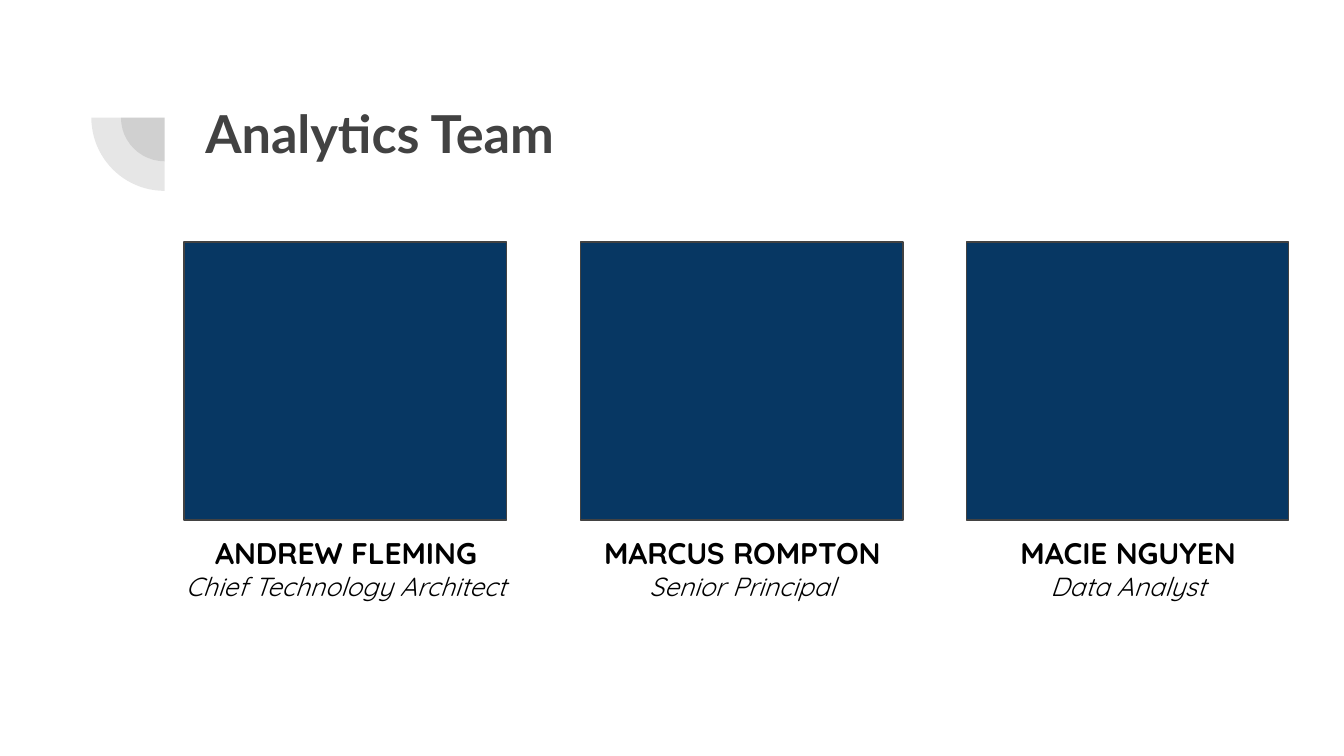
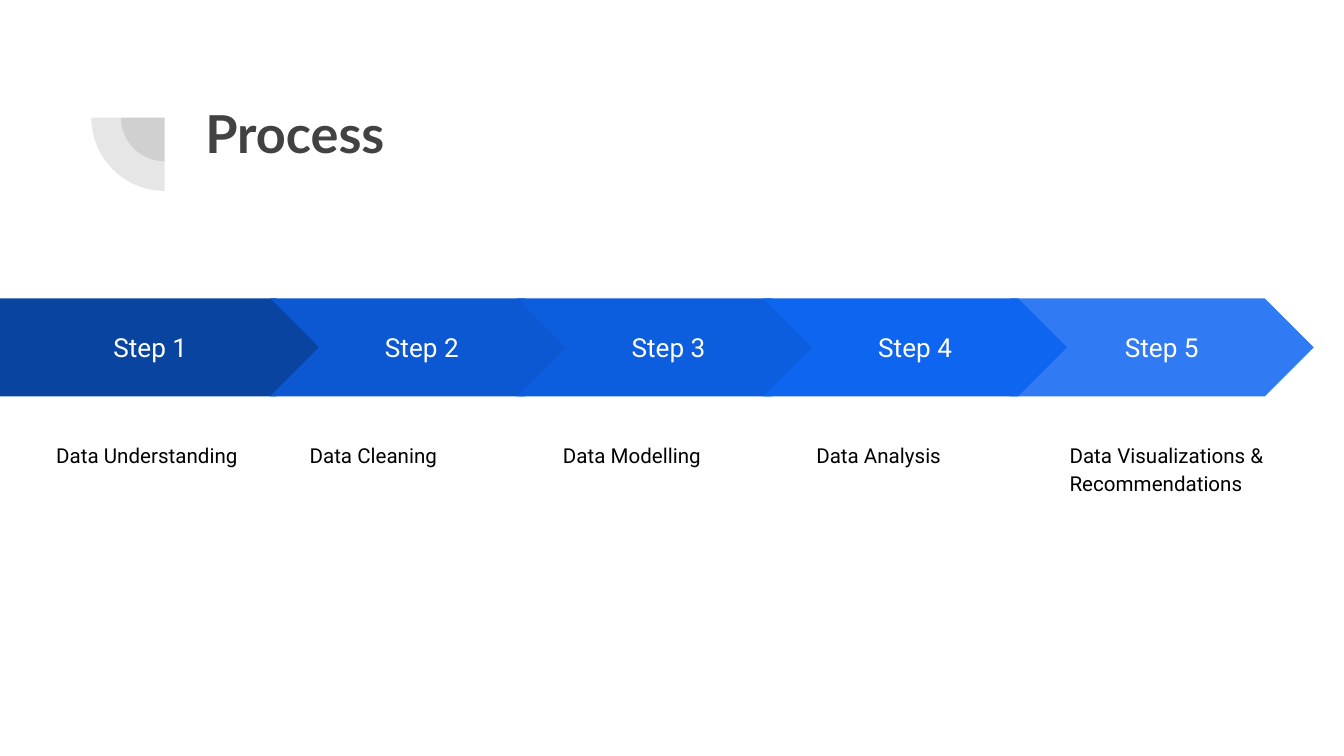
from typing import NamedTuple

from lxml.etree import SubElement
from pptx import Presentation
from pptx.dml.color import RGBColor
from pptx.enum.shapes import MSO_SHAPE as Preset
from pptx.enum.text import MSO_ANCHOR as Anchor, PP_ALIGN as Align
from pptx.oxml.ns import qn
from pptx.shapes.autoshape import Shape
from pptx.slide import Slide
from pptx.text.text import TextFrame
from pptx.util import Emu, Pt

# Scale: 200 px to the inch
PX = 4572
SLIDE_WIDTH, SLIDE_HEIGHT = 2000, 1125
INSET = 20

# Shared colours and fonts
CHARCOAL = RGBColor(0x42, 0x42, 0x42)
NAVY = RGBColor(0x07, 0x37, 0x63)
BLACK = RGBColor(0x00, 0x00, 0x00)
WHITE = RGBColor(0xFF, 0xFF, 0xFF)
TITLE_FONT, TEAM_FONT, PROCESS_FONT = "Lato", "Quicksand", "Roboto"


class Box(NamedTuple):
    left: int
    top: int
    width: int
    height: int

    def emu(self) -> list[Emu]:
        return [Emu(length * PX) for length in self]


class Member(NamedTuple):
    left: int
    name: str
    role: str


class Step(NamedTuple):
    color: RGBColor
    caption: str


TITLE_BOX = Box(286, 130, 1538, 218)
ORNAMENT_CENTER = (245, 175)
ORNAMENT_SIZES = (130, 218)

TEAM = (
    Member(274, "ANDREW FLEMING", "Chief Technology Architect"),
    Member(864, "MARCUS ROMPTON", "Senior Principal"),
    Member(1438, "MACIE NGUYEN", "Data Analyst"),
)

STEPS = (
    Step(RGBColor(0x09, 0x44, 0xA1), "Data Understanding"),
    Step(RGBColor(0x0C, 0x58, 0xD3), "Data Cleaning"),
    Step(RGBColor(0x0D, 0x5D, 0xDF), "Data Modelling"),
    Step(RGBColor(0x0E, 0x65, 0xF0), "Data Analysis"),
    Step(RGBColor(0x30, 0x7B, 0xF3), "Data Visualizations & Recommendations"),
)
# The fourth arrow lies on top of the fifth
STACKING = (0, 1, 2, 4, 3)


def add_preset(slide: Slide, preset: Preset, box: Box, fill: RGBColor) -> Shape:
    shape = slide.shapes.add_shape(preset, *box.emu())
    shape.shadow.inherit = False
    shape.fill.solid()
    shape.fill.fore_color.rgb = fill
    shape.line.fill.background()
    return shape


def set_frame(frame: TextFrame, anchor: Anchor = Anchor.TOP) -> TextFrame:
    frame.word_wrap = True
    frame.vertical_anchor = anchor
    frame.margin_left = frame.margin_right = Emu(INSET * PX)
    frame.margin_top = frame.margin_bottom = Emu(INSET * PX)
    return frame


def add_text_box(slide: Slide, box: Box) -> TextFrame:
    return set_frame(slide.shapes.add_textbox(*box.emu()).text_frame)


def write(frame: TextFrame, text: str, *, font: str, size: int,
          color: RGBColor = BLACK, bold: bool = False, italic: bool = False,
          align: Align = Align.LEFT, spacing: float = 1.0) -> None:
    """Add one paragraph, filling the empty first one if there is one."""
    last = frame.paragraphs[-1]
    paragraph = frame.add_paragraph() if last.runs else last
    paragraph.alignment = align
    paragraph.line_spacing = spacing
    run = paragraph.add_run()
    run.text = text
    run.font.name = font
    run.font.size = Pt(size)
    run.font.color.rgb = color
    run.font.bold = bold
    run.font.italic = italic


def add_ornament(slide: Slide) -> None:
    center_x, center_y = ORNAMENT_CENTER
    for size in ORNAMENT_SIZES:
        box = Box(center_x - size // 2, center_y - size // 2, size, size)
        quarter = add_preset(slide, Preset.PIE, box, CHARCOAL)
        quarter.adjustments[0] = 108
        quarter.adjustments[1] = 162
        quarter.rotation = 270
        tint = quarter.fill._xPr.find(qn("a:solidFill"))[0]
        SubElement(tint, qn("a:alpha")).set("val", "13000")


def add_titled_slide(deck: Presentation, title: str) -> Slide:
    slide = deck.slides.add_slide(deck.slide_layouts[6])
    slide.background.fill.solid()
    slide.background.fill.fore_color.rgb = WHITE
    add_ornament(slide)
    write(add_text_box(slide, TITLE_BOX), title,
          font=TITLE_FONT, size=28, color=CHARCOAL, bold=True)
    return slide


def add_member(slide: Slide, member: Member) -> None:
    portrait = add_preset(slide, Preset.RECTANGLE,
                          Box(member.left, 360, 480, 414), NAVY)
    portrait.line.color.rgb = CHARCOAL
    portrait.line.width = Pt(0.75)
    label = add_text_box(slide, Box(member.left - 22, 776, 526, 142))
    write(label, member.name, font=TEAM_FONT, size=16, bold=True,
          align=Align.CENTER)
    write(label, member.role, font=TEAM_FONT, size=14, italic=True,
          align=Align.CENTER)


def add_step(slide: Slide, index: int) -> None:
    step = STEPS[index]
    if index == 0:
        preset, box = Preset.PENTAGON, Box(0, 444, 484, 146)
    else:
        preset, box = Preset.CHEVRON, Box(35 + 367 * index, 444, 452, 146)
    arrow = add_preset(slide, preset, box, step.color)
    arrow.adjustments[0] = 0.5
    write(set_frame(arrow.text_frame, Anchor.MIDDLE), f"Step {index + 1}",
          font=PROCESS_FONT, size=14, color=WHITE, align=Align.CENTER)
    caption = add_text_box(slide, Box(64 + 377 * index, 634, 356, 490))
    write(caption, step.caption, font=PROCESS_FONT, size=11, spacing=1.15)


def main() -> None:
    deck = Presentation()
    deck.slide_width = Emu(SLIDE_WIDTH * PX)
    deck.slide_height = Emu(SLIDE_HEIGHT * PX)

    # Team slide
    team_slide = add_titled_slide(deck, "Analytics Team")
    for member in TEAM:
        add_member(team_slide, member)

    # Process slide
    process_slide = add_titled_slide(deck, "Process")
    for index in STACKING:
        add_step(process_slide, index)

    deck.save("out.pptx")


if __name__ == "__main__":
    main()
